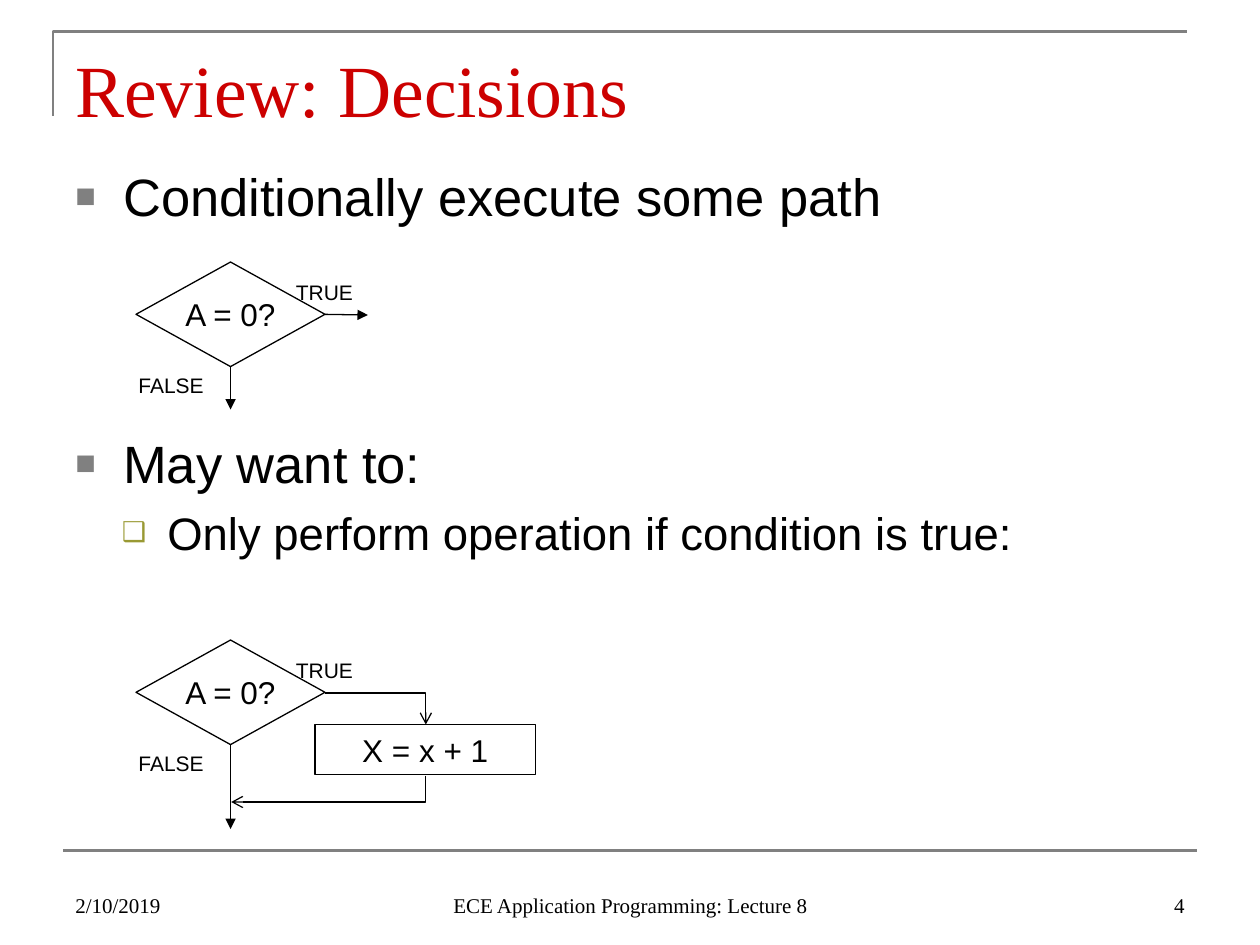
from lxml.etree import SubElement
from pptx import Presentation
from pptx.dml.color import RGBColor
from pptx.enum.shapes import MSO_CONNECTOR, MSO_SHAPE
from pptx.enum.text import MSO_ANCHOR, PP_ALIGN
from pptx.oxml.ns import qn
from pptx.util import Inches, Pt

COLORS = {"title": "CC0000", "text": "000000", "rule": "808080", "sub": "999933"}
SERIF, SANS = "Times New Roman", "Arial"
RIGHT, BOTTOM = 3, 2


def rgb(name):
    return RGBColor.from_string(COLORS[name])


def write(p, text, size=12, font=SANS, color="text", align=PP_ALIGN.LEFT):
    p.alignment = align
    r = p.add_run()
    r.text = text
    r.font.size = Pt(size)
    r.font.name = font
    r.font.color.rgb = rgb(color)


def add_text(s, box, text, anchor=MSO_ANCHOR.TOP, **fmt):
    tf = s.shapes.add_textbox(*map(Inches, box)).text_frame
    tf.word_wrap = True
    tf.vertical_anchor = anchor
    write(tf.paragraphs[0], text, **fmt)


def add_bullet(p, text, size, char, color, percent, left, hang, before=0):
    pPr = p._p.get_or_add_pPr()
    pPr.set("marL", str(Inches(left)))
    pPr.set("indent", str(-Inches(hang)))
    clr = SubElement(pPr, qn("a:buClr"))
    SubElement(clr, qn("a:srgbClr"), val=COLORS[color])
    SubElement(pPr, qn("a:buSzPct"), val=str(percent * 1000))
    SubElement(pPr, qn("a:buFont"), typeface=SANS)
    SubElement(pPr, qn("a:buChar"), char=char)
    p.space_before = Pt(before)
    write(p, text, size)


def add_body(s):
    tf = s.shapes.add_textbox(Inches(0.5), Inches(1.25), Inches(9), Inches(5.45)).text_frame
    tf.word_wrap = True
    main_level = dict(size=30, char="■", color="rule", percent=65, left=0.38, hang=0.38)
    sub_level = dict(size=26, char="❑", color="sub", percent=60, left=0.73, hang=0.36)
    add_bullet(tf.paragraphs[0], "Conditionally execute some path", **main_level)
    add_bullet(tf.add_paragraph(), "May want to:", before=117, **main_level)
    add_bullet(tf.add_paragraph(), "Only perform operation if condition is true:",
               before=6, **sub_level)


def add_box(s, kind, box, text, wrap=True):
    sp = s.shapes.add_shape(kind, *map(Inches, box))
    sp.shadow.inherit = False
    sp.fill.background()
    sp.line.color.rgb = rgb("text")
    sp.line.width = Pt(0.75)
    tf = sp.text_frame
    tf.word_wrap = wrap
    tf.vertical_anchor = MSO_ANCHOR.MIDDLE
    write(tf.paragraphs[0], text, 18, align=PP_ALIGN.CENTER)
    return sp


def add_line(s, start, end, color="text", width=0.75, head=None, kind=MSO_CONNECTOR.STRAIGHT):
    c = s.shapes.add_connector(kind, *map(Inches, (*start, *end)))
    c.line.color.rgb = rgb(color)
    c.line.width = Pt(width)
    if head:
        SubElement(c.line._get_or_add_ln(), qn("a:tailEnd"), type=head)
    SubElement(c._element.spPr, qn("a:effectLst"))
    return c


def add_elbow(s, start, end, rotation=0):
    c = add_line(s, start, end, head="arrow", kind=MSO_CONNECTOR.ELBOW)
    spPr = c._element.spPr
    spPr.find(qn("a:prstGeom")).set("prst", "bentConnector2")
    if rotation:
        spPr.find(qn("a:xfrm")).set("rot", str(rotation * 60000))


def add_decision(s, top, false_length):
    d = add_box(s, MSO_SHAPE.FLOWCHART_DECISION, (1.08, top, 1.5, 0.83), "A = 0?", wrap=False)
    bottom = top + 0.83
    arrow = add_line(s, (1.83, bottom), (1.83, bottom + false_length), head="triangle")
    arrow.begin_connect(d, BOTTOM)
    add_text(s, (2.25, top + 0.09, 0.67, 0.3), "TRUE")
    add_text(s, (1, bottom, 0.75, 0.3), "FALSE")
    return d


def add_frame(s):
    fb = s.shapes.build_freeform(Inches(0.42), Inches(0.92))
    fb.add_line_segments([(Inches(0.42), Inches(0.25)), (Inches(9.42), Inches(0.25))], close=False)
    sp = fb.convert_to_shape()
    sp.shadow.inherit = False
    sp.fill.background()
    sp.line.color.rgb = rgb("rule")
    sp.line.width = Pt(1.5)
    add_line(s, (0.5, 6.75), (9.5, 6.75), "rule", 1.5)


def add_footer(s):
    for left, width, text, align in (
        (0.5, 2.33, "2/10/2019", PP_ALIGN.LEFT),
        (3.42, 3.17, "ECE Application Programming: Lecture 8", PP_ALIGN.CENTER),
        (7.17, 2.33, "4", PP_ALIGN.RIGHT),
    ):
        add_text(s, (left, 6.83, width, 0.5), text, MSO_ANCHOR.BOTTOM, font=SERIF, align=align)


def main():
    prs = Presentation()
    prs.slide_width, prs.slide_height = Inches(10), Inches(7.5)
    s = prs.slides.add_slide(prs.slide_layouts[6])
    add_frame(s)
    add_text(s, (0.5, 0.3, 9, 0.78), "Review: Decisions", size=42, font=SERIF, color="title")
    add_body(s)
    add_footer(s)
    d = add_decision(s, 2.08, 0.34)
    add_line(s, (2.58, 2.5), (2.92, 2.5), head="triangle").begin_connect(d, RIGHT)
    add_decision(s, 5.08, 0.67)
    add_box(s, MSO_SHAPE.RECTANGLE, (2.5, 5.75, 1.75, 0.4), "X = x + 1")
    add_elbow(s, (2.58, 5.5), (3.38, 5.75))
    add_elbow(s, (2.5, 5.49), (2.71, 7.03), rotation=90)
    prs.save("out.pptx")


if __name__ == "__main__":
    main()
